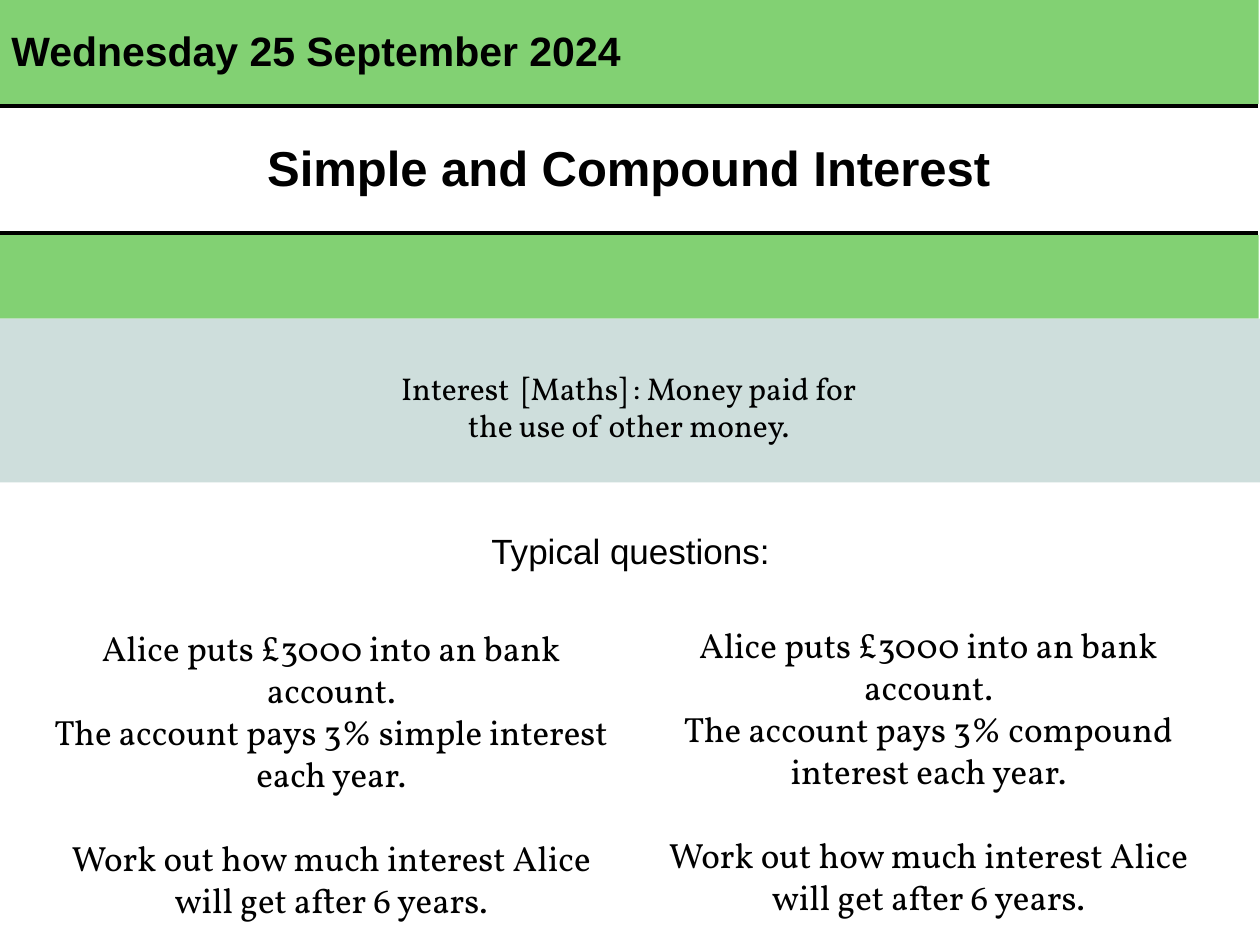
from dataclasses import dataclass

from lxml.etree import SubElement
from pptx import Presentation
from pptx.dml.color import RGBColor
from pptx.enum.shapes import MSO_SHAPE
from pptx.enum.text import MSO_ANCHOR, MSO_AUTO_SIZE, PP_ALIGN
from pptx.oxml.ns import qn
from pptx.util import Inches, Pt


@dataclass(frozen=True)
class Theme:
    green: str = "82D173"
    mist: str = "CEDEDC"
    white: str = "FFFFFF"
    black: str = "000000"
    sans: str = "Arial"
    serif: str = "Vollkorn"
    topic_size: float = 28
    date_size: float = 23.4
    question_size: float = 20
    definition_size: float = 18
    paragraph_gap: float = 24


def write(frame, *paragraphs, font, size, color, bold=False,
          align=PP_ALIGN.CENTER, anchor=MSO_ANCHOR.MIDDLE, last_gap=0):
    """Fill a text frame; last_gap is the space before the last paragraph."""
    frame.word_wrap = True
    frame.vertical_anchor = anchor
    for index, text in enumerate(paragraphs):
        paragraph = frame.paragraphs[0] if index == 0 else frame.add_paragraph()
        paragraph.text = text
        paragraph.alignment = align
        paragraph.space_before = Pt(0)
        paragraph.font.name = font
        paragraph.font.size = Pt(size)
        paragraph.font.bold = bold
        paragraph.font.color.rgb = RGBColor.from_string(color)
    if last_gap:
        frame.paragraphs[-1].space_before = Pt(last_gap)


class SlideBuilder:
    def __init__(self, slide, theme):
        self.slide = slide
        self.theme = theme

    def title(self, text, box, **style):
        title = self.slide.shapes.title
        title.left, title.top, title.width, title.height = map(Inches, box)
        write(title.text_frame, text, color=self.theme.black, **style)
        title.text_frame.auto_size = MSO_AUTO_SIZE.NONE
        # Bring the title in front of the bands drawn so far
        self.slide.shapes._spTree.append(title._element)

    def band(self, box, fill):
        band = self.slide.shapes.add_shape(MSO_SHAPE.RECTANGLE, *map(Inches, box))
        band.shadow.inherit = False
        band.fill.solid()
        band.fill.fore_color.rgb = RGBColor.from_string(fill)
        band.line.fill.background()
        return band

    def label(self, text, box, **style):
        label = self.slide.shapes.add_textbox(*map(Inches, box))
        write(label.text_frame, text, color=self.theme.black, **style)

    def question(self, box, *paragraphs):
        theme = self.theme
        card = self.band(box, theme.white)
        write(card.text_frame, *paragraphs, font=theme.serif,
              size=theme.question_size, color=theme.black,
              anchor=MSO_ANCHOR.TOP, last_gap=theme.paragraph_gap)

    def ruled_table(self, text, box, **style):
        theme = self.theme
        table = self.slide.shapes.add_table(1, 1, *map(Inches, box)).table
        cell = table.cell(0, 0)
        write(cell.text_frame, text, color=theme.black, **style)
        cell.vertical_anchor = MSO_ANCHOR.MIDDLE
        # Borders must come before the fill in the cell properties
        properties = cell._tc.get_or_add_tcPr()
        side, rule = (theme.white, 1), (theme.black, 2.25)
        for tag, (color, width) in (("a:lnL", side), ("a:lnR", side),
                                    ("a:lnT", rule), ("a:lnB", rule)):
            border = SubElement(properties, qn(tag), w=str(Pt(width)))
            solid = SubElement(border, qn("a:solidFill"))
            SubElement(solid, qn("a:srgbClr"), val=color)
        cell.fill.solid()
        cell.fill.fore_color.rgb = RGBColor.from_string(theme.white)


def main():
    presentation = Presentation()
    presentation.slide_width, presentation.slide_height = Inches(10), Inches(7.5)
    theme = Theme()
    title_only = presentation.slide_layouts[5]
    builder = SlideBuilder(presentation.slides.add_slide(title_only), theme)

    # Background bands and date
    builder.band((-0.01, 0, 10, 2.53), theme.green)
    builder.band((-0.01, 3.78, 10.02, 3.72), theme.white)
    builder.title("Wednesday 25 September 2024", (-0.01, 0.01, 10, 0.77),
                  font=theme.sans, size=theme.date_size, bold=True,
                  align=PP_ALIGN.LEFT)

    # Topic
    builder.ruled_table("Simple and Compound Interest", (-0.01, 0.84, 10, 1.01),
                        font=theme.sans, size=theme.topic_size, bold=True)

    # Definition
    builder.band((-0.01, 2.53, 10.01, 1.3), theme.mist)
    builder.label("Interest  [Maths] : Money paid for the use of other money.",
                  (3.02, 2.57, 3.94, 1.31),
                  font=theme.serif, size=theme.definition_size)

    # Typical questions, one for each kind of interest
    builder.label("Typical questions:", (0, 4.09, 10.01, 0.55),
                  font=theme.sans, size=theme.question_size)
    for kind, left, top in (("simple", 0.26, 4.92), ("compound", 5, 4.9)):
        builder.question(
            (left, top, 4.74, 2.46),
            "Alice puts £3000 into an bank account.",
            f"The account pays 3% {kind} interest each year.",
            "Work out how much interest Alice will get after 6 years.")

    presentation.save("out.pptx")


if __name__ == "__main__":
    main()
